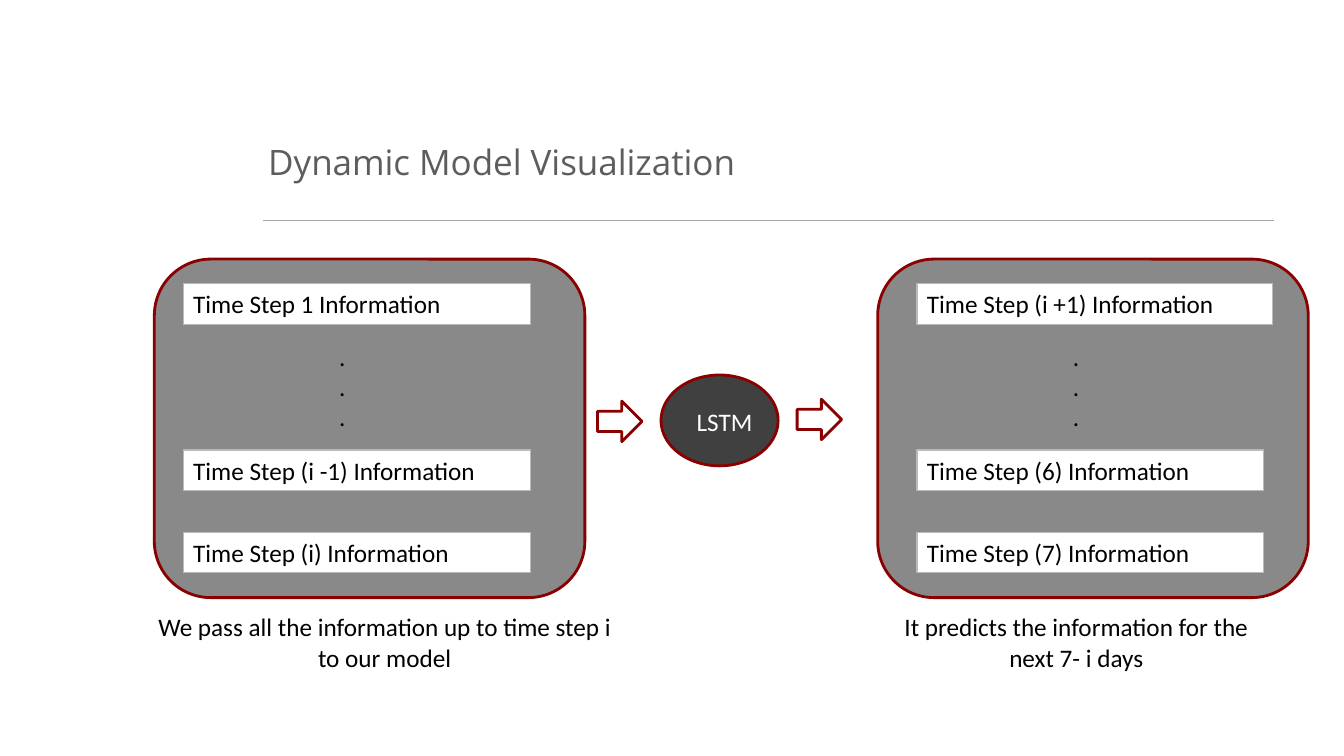
from lxml import etree
from pptx import Presentation
from pptx.dml.color import RGBColor
from pptx.enum.shapes import MSO_CONNECTOR, MSO_SHAPE
from pptx.enum.text import MSO_ANCHOR, MSO_AUTO_SIZE, PP_ALIGN
from pptx.oxml.ns import qn
from pptx.util import Cm, Pt

BLACK = RGBColor(0x00, 0x00, 0x00)
WHITE = RGBColor(0xFF, 0xFF, 0xFF)
TITLE_GREY = RGBColor(0x5D, 0x5D, 0x5D)
RULE_GREY = RGBColor(0xA6, 0xA6, 0xA6)
PANEL_GREY = RGBColor(0x89, 0x89, 0x89)
STEP_BORDER = RGBColor(0xBA, 0xBA, 0xBA)
DARK_GREY = RGBColor(0x40, 0x40, 0x40)
DARK_RED = RGBColor(0x8A, 0x00, 0x00)

RECT = MSO_SHAPE.RECTANGLE
ROUNDED = MSO_SHAPE.ROUNDED_RECTANGLE
OVAL = MSO_SHAPE.OVAL
ARROW = MSO_SHAPE.RIGHT_ARROW
STRAIGHT = MSO_CONNECTOR.STRAIGHT
LEFT, CENTER = PP_ALIGN.LEFT, PP_ALIGN.CENTER
TOP, MIDDLE = MSO_ANCHOR.TOP, MSO_ANCHOR.MIDDLE
NO_AUTOFIT = MSO_AUTO_SIZE.NONE

PANEL_TOP, PANEL_W, PANEL_H = 6.53, 10.85, 8.53
STEP_TOPS = (7.15, 11.34, 13.42)
STEP_W, STEP_H = 8.74, 1.02
CAPTION_TOP = 15.29


def write(tf, lines, align=LEFT, color=BLACK, font="Calibri", size=18):
    tf.word_wrap = True
    for i, line in enumerate(lines):
        p = tf.paragraphs[0] if i == 0 else tf.add_paragraph()
        p.alignment = align
        r = p.add_run()
        r.text = line
        r.font.name = font
        r.font.size = Pt(size)
        r.font.color.rgb = color


def add_title(s, text):
    sp = s.shapes.title
    sp.left, sp.top, sp.width, sp.height = Cm(6.63), Cm(3.23), Cm(16.33), Cm(1.8)
    tf = sp.text_frame
    tf.auto_size = NO_AUTOFIT
    tf.vertical_anchor = MIDDLE
    tf.margin_left = tf.margin_right = tf.margin_top = tf.margin_bottom = Cm(0.13)
    write(tf, [text], color=TITLE_GREY, font="Open Sans", size=25)
    tf.paragraphs[0].line_spacing = 0.9


def add_rule(s, x1, x2, y):
    line = s.shapes.add_connector(STRAIGHT, Cm(x1), Cm(y), Cm(x2), Cm(y))
    line.line.color.rgb = RULE_GREY
    line.line.width = Pt(1)
    etree.SubElement(line._element.spPr, qn("a:effectLst"))


def add_figure(s, kind, x, y, w, h, fill, border=DARK_RED, border_pt=2):
    sp = s.shapes.add_shape(kind, Cm(x), Cm(y), Cm(w), Cm(h))
    sp.shadow.inherit = False
    sp.fill.solid()
    sp.fill.fore_color.rgb = fill
    sp.line.color.rgb = border
    sp.line.width = Pt(border_pt)
    return sp


def add_text(s, x, y, w, h, lines, color=BLACK):
    sp = s.shapes.add_textbox(Cm(x), Cm(y), Cm(w), Cm(h))
    write(sp.text_frame, lines, CENTER, color)


def add_step(s, x, y, w, text):
    sp = add_figure(s, RECT, x, y, w, STEP_H, WHITE, STEP_BORDER, 0.75)
    sp.text_frame.vertical_anchor = TOP
    write(sp.text_frame, [text])


def add_panel(s, x, step_x, steps, first_w=STEP_W):
    """Grey panel with three time steps and dots between the first two."""
    add_figure(s, ROUNDED, x, PANEL_TOP, PANEL_W, PANEL_H, PANEL_GREY)
    widths = (first_w, STEP_W, STEP_W)
    for y, w, text in zip(STEP_TOPS, widths, steps):
        add_step(s, step_x, y, w, text)
    add_text(s, step_x + 2.59, 8.47, 2.84, 2.57, ["."] * 3)


def main():
    prs = Presentation()
    prs.slide_width, prs.slide_height = Cm(33.87), Cm(19.05)
    s = prs.slides.add_slide(prs.slide_layouts[5])

    add_rule(s, 6.63, 32.11, 5.56)
    add_title(s, "Dynamic Model Visualization")

    add_panel(s, 3.89, 4.62, ("Time Step 1 Information",
                              "Time Step (i -1) Information",
                              "Time Step (i) Information"))
    add_text(s, 3.66, CAPTION_TOP, 12.07, 1.8,
             ["We pass all the information up to time step i to our model"])

    add_figure(s, OVAL, 16.66, 9.45, 2.95, 2.29, DARK_GREY)
    add_text(s, 17.13, 10.11, 2.26, 1.02, ["LSTM"], WHITE)
    for x, y in ((15.06, 10.11), (20.09, 10.06)):
        add_figure(s, ARROW, x, y, 1.12, 1.02, WHITE)

    add_panel(s, 22.12, 23.11, ("Time Step (i +1) Information",
                                "Time Step (6) Information",
                                "Time Step (7) Information"), first_w=8.97)
    add_text(s, 22.3, CAPTION_TOP, 9.65, 1.8,
             ["It predicts the information for the next 7- i days"])

    prs.save("out.pptx")


if __name__ == "__main__":
    main()
